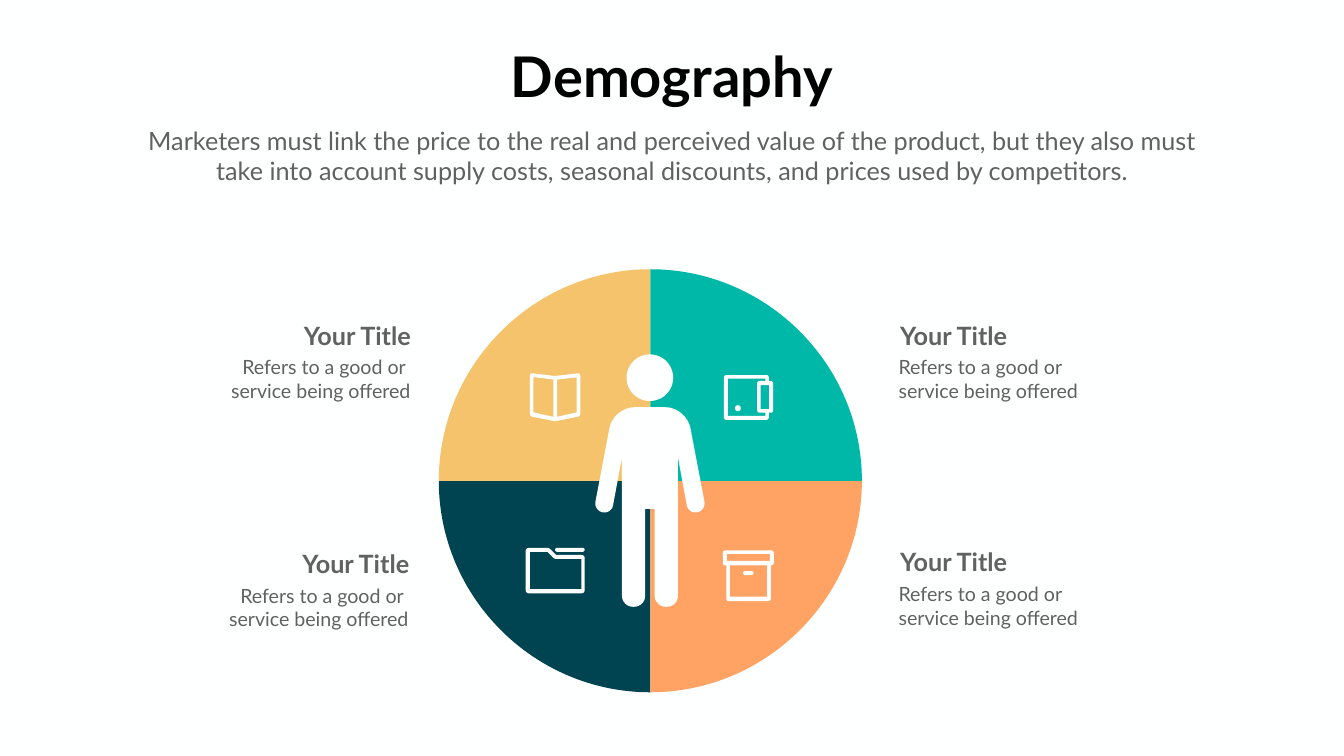
from pptx import Presentation
from pptx.dml.color import RGBColor
from pptx.enum.shapes import MSO_SHAPE
from pptx.enum.text import MSO_AUTO_SIZE, PP_ALIGN
from pptx.util import Cm, Pt
from math import hypot

OVAL, PILL = MSO_SHAPE.OVAL, MSO_SHAPE.ROUNDED_RECTANGLE
LEFT, CENTER, RIGHT = PP_ALIGN.LEFT, PP_ALIGN.CENTER, PP_ALIGN.RIGHT
GROW = MSO_AUTO_SIZE.SHAPE_TO_FIT_TEXT

COLORS = {
    "paper": "FEFFFF", "icon": "FFFFFF", "heading": "000000", "text": "616161",
    "navy": "004351", "yellow": "F4C36B", "orange": "FFA364", "teal": "00B8A7",
}
FORMATS = {
    "heading": {"size": Pt(80), "bold": True},
    "intro": {"size": Pt(36), "bold": False},
    "label": {"size": Pt(36), "bold": True},
    "detail": {"size": Pt(28), "bold": False},
}

HEADING = "Demography"
INTRO = ("Marketers must link the price to the real and perceived value of the product, "
         "but they also must take into account supply costs, seasonal discounts, "
         "and prices used by competitors.")
LABEL = "Your Title"
DETAILS = {
    LEFT: ["Refers to a good or", "service being offered"],
    RIGHT: ["Refers to a good or ", "service being offered"],
}
LABEL_SPOTS = [
    (LEFT, 45.11, 45.03, 16),
    (LEFT, 45.11, 45.03, 27.43),
    (RIGHT, 20.95, 20.93, 16),
    (RIGHT, 20.87, 20.83, 27.51),
]
LABEL_WIDTH, DETAIL_WIDTH = 6.63, 10.08
LABEL_HEIGHT, DETAIL_HEIGHT, DETAIL_DROP = 1.8, 2.64, 1.78

CENTER_X, CENTER_Y, RADIUS = 32.77, 24.23, 10.66
QUADRANTS = [("navy", -1, 1), ("yellow", -1, -1), ("orange", 1, 1), ("teal", 1, -1)]

BODY_CENTER = 32.75
BODY_HALF = [
    (1.84, 20.52, 1.07), (2.83, 25.73, 0.45), (1.94, 25.91, 0.45), (1.41, 23.05, 0),
    (1.41, 30.58, 0.55), (0.24, 30.58, 0.55), (0.24, 25.65, 0),
]


def rectangle(left, top, right, bottom, radius=0):
    return [(left, top, radius), (right, top, radius),
            (right, bottom, radius), (left, bottom, radius)]


WALLET = [
    [(36.47, 18.9, 0.13), (38.74, 18.9, 0.13), (38.74, 19.2, 0), (38.96, 19.2, 0.13),
     (38.96, 20.8, 0.13), (38.74, 20.8, 0), (38.74, 21.16, 0.13), (36.47, 21.16, 0.13)],
    [(36.68, 19.08, 0), (38.56, 19.08, 0), (38.56, 19.2, 0), (38.15, 19.2, 0.13),
     (38.15, 20.8, 0.13), (38.56, 20.8, 0), (38.56, 20.96, 0), (36.68, 20.96, 0)],
    rectangle(38.33, 19.41, 38.76, 20.62),
]
FOLDER = [
    [(26.49, 27.61, 0.15), (27.66, 27.61, 0.08), (28.02, 27.97, 0), (29.46, 27.97, 0.15),
     (29.46, 29.9, 0.15), (26.49, 29.9, 0.15)],
    [(26.7, 27.81, 0), (27.58, 27.81, 0), (27.94, 28.17, 0.08), (29.29, 28.17, 0),
     (29.29, 29.69, 0), (26.7, 29.69, 0)],
]
CARTON = [
    [(36.42, 27.74, 0.13), (38.99, 27.74, 0.13), (38.99, 28.5, 0.13), (38.84, 28.5, 0),
     (38.84, 30.3, 0.13), (36.6, 30.3, 0.13), (36.6, 28.5, 0), (36.42, 28.5, 0.13)],
    rectangle(36.63, 27.91, 38.79, 28.27),
    rectangle(36.78, 28.5, 38.66, 30.07),
]
BOOK = [
    [(26.7, 18.8, 0.13), (27.97, 18.95, 0), (29.24, 18.8, 0.13), (29.24, 20.98, 0.13),
     (27.97, 21.23, 0.08), (26.7, 20.98, 0.13)],
    [(26.87, 19, 0), (27.89, 19.13, 0), (27.89, 21.01, 0), (26.87, 20.78, 0)],
    [(28.07, 19.13, 0), (29.06, 19.02, 0), (29.06, 20.78, 0), (28.07, 21.01, 0)],
]
SOLIDS = [
    (OVAL, "paper", 31.57, 17.86, 2.35, 2.35),
    (OVAL, "icon", 37.03, 20.42, 0.3, 0.3),
    (PILL, "icon", 27.97, 27.61, 1.49, 0.2),
    (PILL, "icon", 37.44, 28.78, 0.53, 0.2),
]


def toward(start, end, distance):
    share = distance / hypot(end[0] - start[0], end[1] - start[1])
    return [a + (b - a) * share for a, b in zip(start, end)]


def round_corners(corners):
    points = []
    for index, (x, y, radius) in enumerate(corners):
        if not radius:
            points.append((x, y))
            continue
        corner = (x, y)
        first = toward(corner, corners[index - 1][:2], radius)
        last = toward(corner, corners[(index + 1) % len(corners)][:2], radius)
        handles = [[a + (c - a) * 0.55 for a, c in zip(end, corner)]
                   for end in (first, last)]
        steps = max(8, round(radius * 6))
        for step in range(steps + 1):
            t = step / steps
            weights = ((1 - t) ** 3, 3 * t * (1 - t) ** 2, 3 * t * t * (1 - t), t ** 3)
            points.append(tuple(
                sum(w * point[axis] for w, point in zip(weights, (first, *handles, last)))
                for axis in (0, 1)))
    return [(Cm(x), Cm(y)) for x, y in points]


def paint(shape, color):
    shape.shadow.inherit = False
    shape.fill.solid()
    shape.fill.fore_color.rgb = RGBColor.from_string(COLORS[color])
    shape.line.fill.background()


def add_outline(page, contours, color):
    builder = None
    for contour in contours:
        points = round_corners(contour)
        if builder is None:
            builder = page.shapes.build_freeform(*points[0], scale=1.0)
        else:
            builder.move_to(*points[0])
        builder.add_line_segments(points[1:], close=True)
    paint(builder.convert_to_shape(), color)


def add_text(page, lines, style, color, align, place, wrap=True):
    box = page.shapes.add_textbox(*map(Cm, place)).text_frame
    box.word_wrap = wrap
    box.auto_size = GROW
    for index, line in enumerate(lines):
        para = box.add_paragraph() if index else box.paragraphs[0]
        para.alignment = align
        span = para.add_run()
        span.text = line
        span.font.name = "Lato"
        span.font.color.rgb = RGBColor.from_string(COLORS[color])
        for name, value in FORMATS[style].items():
            setattr(span.font, name, value)


def main():
    deck = Presentation()
    deck.slide_width, deck.slide_height = Cm(67.72), Cm(38.1)
    page = deck.slides.add_slide(deck.slide_layouts[6])
    page.background.fill.solid()
    page.background.fill.fore_color.rgb = RGBColor.from_string(COLORS["paper"])

    for color, across, down in QUADRANTS:
        far_x, far_y = CENTER_X + across * RADIUS, CENTER_Y + down * RADIUS
        sector = rectangle(CENTER_X, CENTER_Y, far_x, far_y)
        sector[2] = (far_x, far_y, RADIUS)
        add_outline(page, [sector], color)

    body = [(BODY_CENTER + x, y, radius) for x, y, radius in BODY_HALF]
    body += [(BODY_CENTER - x, y, radius) for x, y, radius in reversed(BODY_HALF)]
    add_outline(page, [body], "paper")
    for icon in (WALLET, FOLDER, CARTON, BOOK):
        add_outline(page, icon, "icon")
    for kind, color, *place in SOLIDS:
        solid = page.shapes.add_shape(kind, *map(Cm, place))
        if kind == PILL:
            solid.adjustments[0] = 0.5
        paint(solid, color)

    add_text(page, [HEADING], "heading", "heading", CENTER, (25.32, 1.98, 17.07, 3.68), False)
    add_text(page, [INTRO], "intro", "text", CENTER, (6.81, 6.2, 54.1, 3.33))
    for align, label_edge, detail_edge, top in LABEL_SPOTS:
        shift = 1 if align == RIGHT else 0
        add_text(page, [LABEL], "label", "text", align,
                 (label_edge - shift * LABEL_WIDTH, top, LABEL_WIDTH, LABEL_HEIGHT))
        add_text(page, DETAILS[align], "detail", "text", align,
                 (detail_edge - shift * DETAIL_WIDTH, top + DETAIL_DROP,
                  DETAIL_WIDTH, DETAIL_HEIGHT))
    deck.save("out.pptx")


if __name__ == "__main__":
    main()
